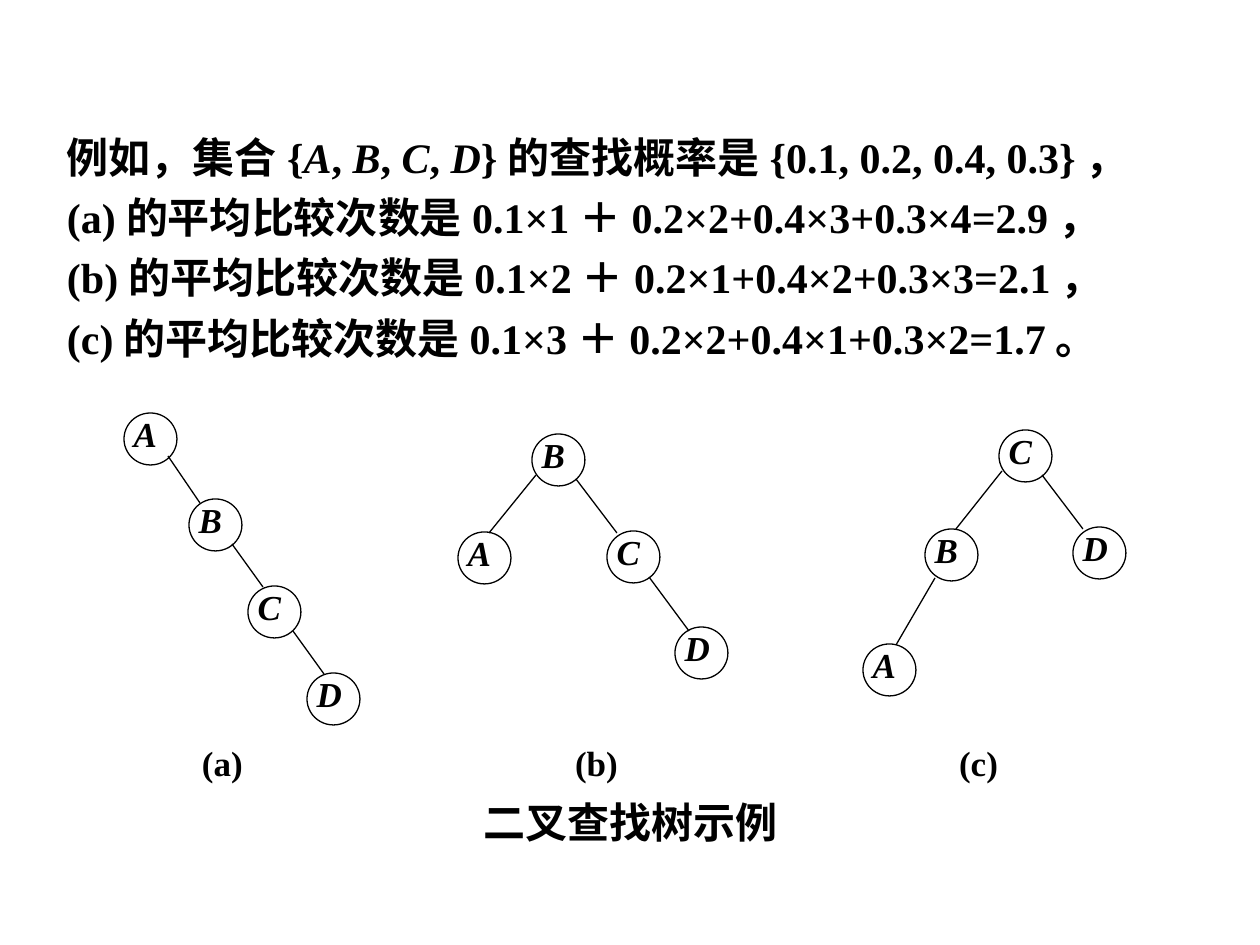
from lxml.etree import SubElement
from pptx import Presentation
from pptx.dml.color import RGBColor
from pptx.enum.shapes import MSO_CONNECTOR as Connector, MSO_SHAPE as Shape
from pptx.enum.text import MSO_ANCHOR as Anchor, PP_ALIGN as Align
from pptx.oxml.ns import qn
from pptx.util import Emu, Pt

PX_PER_INCH = 126
BLACK = "000000"
NODE_WIDTH, NODE_HEIGHT = 53, 52


def px(length):
    return Emu(round(length * 914400 / PX_PER_INCH))


def color(hex_string):
    return RGBColor.from_string(hex_string)


def write(para, text, size=24, align=Align.LEFT, spacing=None, before=None, italic=False):
    """Fill a paragraph; parts between asterisks are italic."""
    para.alignment = align
    if spacing:
        para.line_spacing = spacing
    if before:
        para.space_before = Pt(before)
    for index, part in enumerate(text.split("*")):
        span = para.add_run()
        span.text = part
        span.font.name = "Times New Roman"
        span.font.size = Pt(size)
        span.font.bold = True
        span.font.italic = italic or index % 2 == 1
        span.font.color.rgb = color(BLACK)


def set_tabs(para, stops):
    tab_list = SubElement(para._p.get_or_add_pPr(), qn("a:tabLst"))
    for stop in stops:
        SubElement(tab_list, qn("a:tab"), pos=str(px(stop)), algn="l")


class Page:
    line_width = Pt(0.75)

    def __init__(self, deck):
        self.shapes = deck.slides.add_slide(deck.slide_layouts[6]).shapes

    def set_frame(self, frame, inset_left=0, inset_y=0):
        frame.word_wrap = True
        frame.vertical_anchor = Anchor.TOP
        frame.margin_left, frame.margin_right = px(inset_left), 0
        frame.margin_top = frame.margin_bottom = px(inset_y)

    def text(self, left, top, width, height, lines, **insets):
        """Each line is a text with its keyword format."""
        box = self.shapes.add_textbox(px(left), px(top), px(width), px(height))
        frame = box.text_frame
        self.set_frame(frame, **insets)
        for index, (line, style) in enumerate(lines):
            para = frame.add_paragraph() if index else frame.paragraphs[0]
            write(para, line, **style)
        return frame

    def node(self, label, left, top):
        circle = self.shapes.add_shape(
            Shape.OVAL, px(left), px(top), px(NODE_WIDTH), px(NODE_HEIGHT))
        circle.shadow.inherit = False
        circle.fill.background()
        circle.line.color.rgb = color(BLACK)
        circle.line.width = self.line_width
        self.set_frame(circle.text_frame, inset_left=2)
        write(circle.text_frame.paragraphs[0], label, size=20, spacing=0.8, italic=True)

    def edge(self, *ends):
        line = self.shapes.add_connector(Connector.STRAIGHT, *map(px, ends))
        line.line.color.rgb = color(BLACK)
        line.line.width = self.line_width
        SubElement(line._element.spPr, qn("a:effectLst"))

    def tree(self, nodes, edges):
        for label, (left, top) in nodes.items():
            self.node(label, left, top)
        for ends in edges:
            self.edge(*ends)


INTRO = [
    "例如，集合{*A*, *B*, *C*, *D*}的查找概率是{0.1, 0.2, 0.4, 0.3}，",
    "(a)的平均比较次数是0.1×1＋0.2×2+0.4×3+0.3×4=2.9，",
    "(b)的平均比较次数是0.1×2＋0.2×1+0.4×2+0.3×3=2.1，",
    "(c)的平均比较次数是0.1×3＋0.2×2+0.4×1+0.3×2=1.7。",
]

# Node corners, then edges as x1, y1, x2, y2
TREES = [
    ({"A": (124, 413), "B": (189, 499), "C": (248, 586), "D": (307, 673)},
     [(168, 456, 200, 503), (232, 544, 263, 587), (293, 631, 324, 674)]),
    ({"A": (458, 532), "B": (532, 434), "C": (607, 531), "D": (675, 627)},
     [(576, 479, 617, 533), (649, 577, 689, 631), (536, 475, 489, 533)]),
    ({"A": (863, 644), "B": (925, 529), "C": (999, 430), "D": (1073, 527)},
     [(1042, 475, 1083, 529), (1002, 471, 956, 529), (935, 578, 896, 645)]),
]


def main():
    deck = Presentation()
    deck.slide_width, deck.slide_height = px(1260), px(945)
    page = Page(deck)

    # Search trees
    for nodes, edges in TREES:
        page.tree(nodes, edges)

    # Tree labels and caption
    caption = page.text(168, 741, 925, 118, [
        ("\t(a)\t(b)\t(c)", {"size": 20}),
        ("二叉查找树示例", {"align": Align.CENTER, "before": 7.7}),
    ])
    set_tabs(caption.paragraphs[0], (34, 407, 791))

    # Average comparison counts
    page.text(54, 115, 1174, 255, [(line, {"spacing": 1.2}) for line in INTRO],
              inset_left=13, inset_y=6)

    deck.save("out.pptx")


if __name__ == "__main__":
    main()
